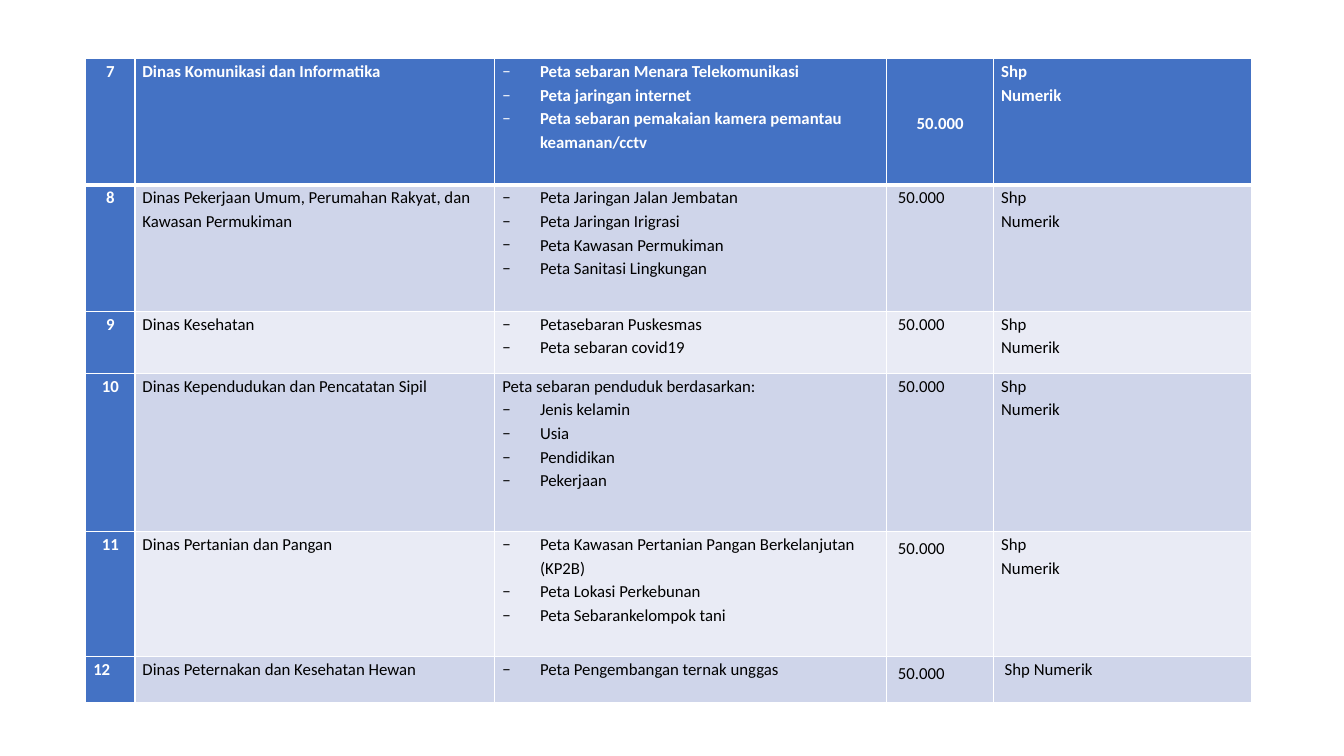
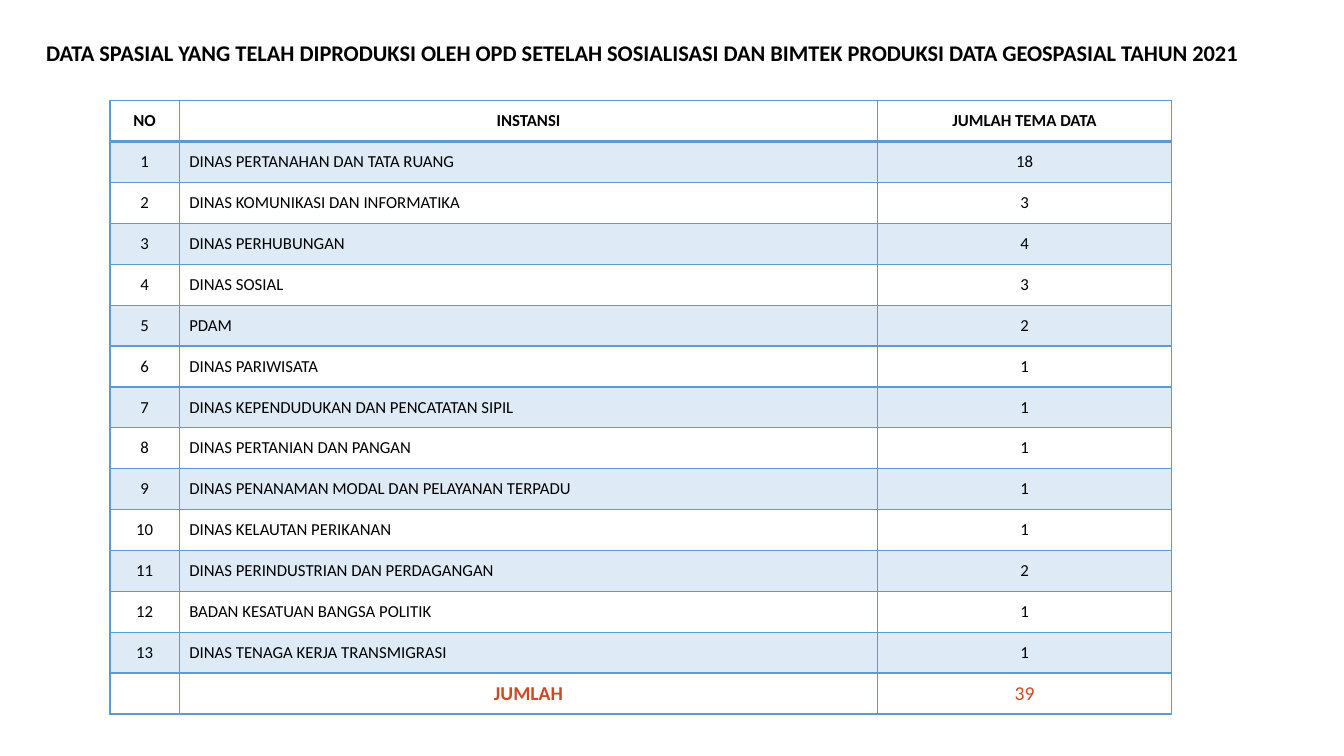
from dataclasses import dataclass, replace

import lxml.etree
import pptx
import pptx.dml.color
import pptx.enum.text
import pptx.oxml.ns
import pptx.util
from pptx.util import Cm

FONT = "Calibri"
WHITE, BLACK, RED = "FFFFFF", "000000", "D24726"
ROYAL, BAND_DARK, BAND_LIGHT = "4472C4", "CFD5EA", "E9EBF5"
SKY, SKY_PALE = "5B9BD5", "DEEBF7"
LEFT = pptx.enum.text.PP_ALIGN.LEFT
CENTER = pptx.enum.text.PP_ALIGN.CENTER
TOP = pptx.enum.text.MSO_ANCHOR.TOP
MIDDLE = pptx.enum.text.MSO_ANCHOR.MIDDLE


@dataclass(frozen=True)
class TextStyle:
    size: float = 12
    color: str = BLACK
    bold: bool = False
    align: int = LEFT
    spacing: float = 1.0


@dataclass(frozen=True)
class CellStyle:
    text: TextStyle
    border: str
    fill: str | None = None
    anchor: int = TOP
    margin_x: float = 0.19
    margin_left: float | None = None
    margin_y: float = 0
    top_width: float = 1
    bottom_width: float = 1


@dataclass(frozen=True)
class Agency:
    number: str
    name: str
    maps: list[str]
    height: float
    heading: str = ""
    formats: str = "Shp\nNumerik"
    formats_left: float = 0.19
    scale_drop: float = 0
    number_align: int = CENTER


AGENCIES = [
    Agency("7", "Dinas Komunikasi dan Informatika",
           ["Peta sebaran Menara Telekomunikasi", "Peta jaringan internet",
            "Peta sebaran pemakaian kamera pemantau keamanan/cctv"], 3.18),
    Agency("8", "Dinas Pekerjaan Umum, Perumahan Rakyat, dan Kawasan Permukiman",
           ["Peta Jaringan Jalan Jembatan", "Peta Jaringan Irigrasi",
            "Peta Kawasan Permukiman", "Peta Sanitasi Lingkungan"], 3.18),
    Agency("9", "Dinas Kesehatan", ["Petasebaran Puskesmas", "Peta sebaran covid19"], 1.57),
    Agency("10", "Dinas Kependudukan dan Pencatatan Sipil",
           ["Jenis kelamin", "Usia", "Pendidikan", "Pekerjaan"], 3.99,
           heading="Peta sebaran penduduk berdasarkan:"),
    Agency("11", "Dinas Pertanian dan Pangan",
           ["Peta Kawasan Pertanian Pangan Berkelanjutan (KP2B)",
            "Peta Lokasi Perkebunan", "Peta Sebarankelompok tani"], 3.14, scale_drop=0.1),
    Agency("12", "Dinas Peternakan dan Kesehatan Hewan", ["Peta Pengembangan ternak unggas"],
           1.17, formats="Shp Numerik", formats_left=0.28, scale_drop=0.1, number_align=LEFT),
]

THEME_COUNTS = [
    ("DINAS PERTANAHAN DAN TATA RUANG", 18),
    ("DINAS KOMUNIKASI DAN INFORMATIKA", 3),
    ("DINAS PERHUBUNGAN", 4),
    ("DINAS SOSIAL", 3),
    ("PDAM", 2),
    ("DINAS PARIWISATA", 1),
    ("DINAS KEPENDUDUKAN DAN PENCATATAN SIPIL", 1),
    ("DINAS PERTANIAN DAN PANGAN", 1),
    ("DINAS PENANAMAN MODAL DAN PELAYANAN TERPADU", 1),
    ("DINAS KELAUTAN PERIKANAN", 1),
    ("DINAS PERINDUSTRIAN DAN PERDAGANGAN", 2),
    ("BADAN KESATUAN BANGSA POLITIK", 1),
    ("DINAS TENAGA KERJA TRANSMIGRASI", 1),
]


def rgb(value: str) -> pptx.dml.color.RGBColor:
    return pptx.dml.color.RGBColor.from_string(value)


def add_element(parent, tag: str, **attributes: str):
    return lxml.etree.SubElement(parent, pptx.oxml.ns.qn(tag), **attributes)


def format_text(text_frame, style: TextStyle) -> None:
    for paragraph in text_frame.paragraphs:
        paragraph.alignment = style.align
        paragraph.line_spacing = style.spacing
        for run in paragraph.runs:
            run.font.name = FONT
            run.font.size = pptx.util.Pt(style.size)
            run.font.bold = style.bold
            run.font.color.rgb = rgb(style.color)


def add_dash(paragraph) -> None:
    properties = paragraph._p.get_or_add_pPr()
    indent = Cm(0.95)
    properties.set("marL", str(indent))
    properties.set("indent", str(-indent))
    add_element(properties, "a:buFont", typeface=FONT)
    add_element(properties, "a:buChar", char="−")


def set_borders(cell, style: CellStyle) -> None:
    properties = cell._tc.get_or_add_tcPr()
    widths = {"a:lnL": 1, "a:lnR": 1, "a:lnT": style.top_width, "a:lnB": style.bottom_width}
    for tag, width in widths.items():
        line = add_element(properties, tag, w=str(pptx.util.Pt(width)))
        add_element(add_element(line, "a:solidFill"), "a:srgbClr", val=style.border)


def fill_cell(cell, text: str, style: CellStyle, dashes_from: int | None = None) -> None:
    set_borders(cell, style)
    if style.fill:
        cell.fill.solid()
        cell.fill.fore_color.rgb = rgb(style.fill)
    else:
        cell.fill.background()
    cell.vertical_anchor = style.anchor
    cell.margin_left = Cm(style.margin_x if style.margin_left is None else style.margin_left)
    cell.margin_right = Cm(style.margin_x)
    cell.margin_top = Cm(style.margin_y)
    cell.margin_bottom = Cm(0 if style.anchor == TOP else style.margin_y)
    cell.text_frame.text = text
    if dashes_from is not None:
        for paragraph in cell.text_frame.paragraphs[dashes_from:]:
            add_dash(paragraph)
    format_text(cell.text_frame, style.text)


def add_plain_table(slide, left: float, top: float, widths: list[float], heights: list[float]):
    table = slide.shapes.add_table(len(heights), len(widths), Cm(left), Cm(top),
                                   Cm(sum(widths)), Cm(sum(heights))).table
    table.first_row = False
    table.horz_banding = False
    for column, width in zip(table.columns, widths):
        column.width = Cm(width)
    for row, height in zip(table.rows, heights):
        row.height = Cm(height)
    return table


def build_agency_slide(presentation) -> None:
    slide = presentation.slides.add_slide(presentation.slide_layouts[6])
    table = add_plain_table(slide, 2.16, 1.48, [1.24, 9.07, 9.88, 2.69, 6.5],
                            [agency.height for agency in AGENCIES])
    strong = TextStyle(color=WHITE, bold=True, spacing=1.15)
    for index, agency in enumerate(AGENCIES):
        is_header = index == 0
        number_style = CellStyle(replace(strong, align=agency.number_align), WHITE, ROYAL,
                                 top_width=3 if index == 1 else 1,
                                 bottom_width=3 if is_header else 1)
        if is_header:
            body = replace(number_style, text=strong)
            scale_style = replace(number_style, anchor=MIDDLE)
        else:
            body = replace(number_style, text=TextStyle(spacing=1.15),
                           fill=BAND_DARK if index % 2 else BAND_LIGHT)
            scale_style = replace(body, margin_left=0.28, margin_y=agency.scale_drop)
        lines = ([agency.heading] if agency.heading else []) + agency.maps
        cells = table.rows[index].cells
        fill_cell(cells[0], agency.number, number_style)
        fill_cell(cells[1], agency.name, body)
        fill_cell(cells[2], "\n".join(lines), body, len(lines) - len(agency.maps))
        fill_cell(cells[3], "50.000", scale_style)
        fill_cell(cells[4], agency.formats, replace(body, margin_left=agency.formats_left))


def build_count_slide(presentation) -> None:
    slide = presentation.slides.add_slide(presentation.slide_layouts[5])
    title = slide.shapes.title
    title.left, title.top, title.width, title.height = Cm(0.91), Cm(0.53), Cm(32.03), Cm(1.7)
    title.text_frame.text = ("DATA SPASIAL YANG TELAH DIPRODUKSI OLEH OPD SETELAH SOSIALISASI "
                             "DAN BIMTEK PRODUKSI DATA GEOSPASIAL TAHUN 2021")
    title.text_frame.word_wrap = True
    title.text_frame.auto_size = pptx.enum.text.MSO_AUTO_SIZE.NONE
    title.text_frame.vertical_anchor = MIDDLE
    format_text(title.text_frame, TextStyle(size=16, bold=True, spacing=0.9))

    rows = [("NO", "INSTANSI", "JUMLAH TEMA DATA")]
    rows += [(str(number), name, str(count))
             for number, (name, count) in enumerate(THEME_COUNTS, 1)]
    rows.append(("", "JUMLAH", str(sum(count for _, count in THEME_COUNTS))))
    table = add_plain_table(slide, 2.77, 2.54, [1.75, 17.6, 7.4], [1.03] * len(rows))
    last = len(rows) - 1
    for row_index, row in enumerate(rows):
        is_header, is_total = row_index == 0, row_index == last
        for column_index, text in enumerate(row):
            is_name = column_index == 1
            text_style = TextStyle(
                size=14 if is_total else 12,
                color=RED if is_total else BLACK,
                bold=is_header or (is_total and is_name),
                align=LEFT if is_name and 0 < row_index < last else CENTER)
            style = CellStyle(text_style, SKY, SKY_PALE if row_index % 2 else None, MIDDLE,
                              margin_x=0.25, margin_y=0.1,
                              top_width=2 if row_index == 1 else 1,
                              bottom_width=2 if is_header else 1)
            fill_cell(table.cell(row_index, column_index), text, style)


def main() -> None:
    presentation = pptx.Presentation()
    presentation.slide_width = Cm(33.87)
    presentation.slide_height = Cm(19.05)
    build_agency_slide(presentation)
    build_count_slide(presentation)
    presentation.save("out.pptx")


if __name__ == "__main__":
    main()
